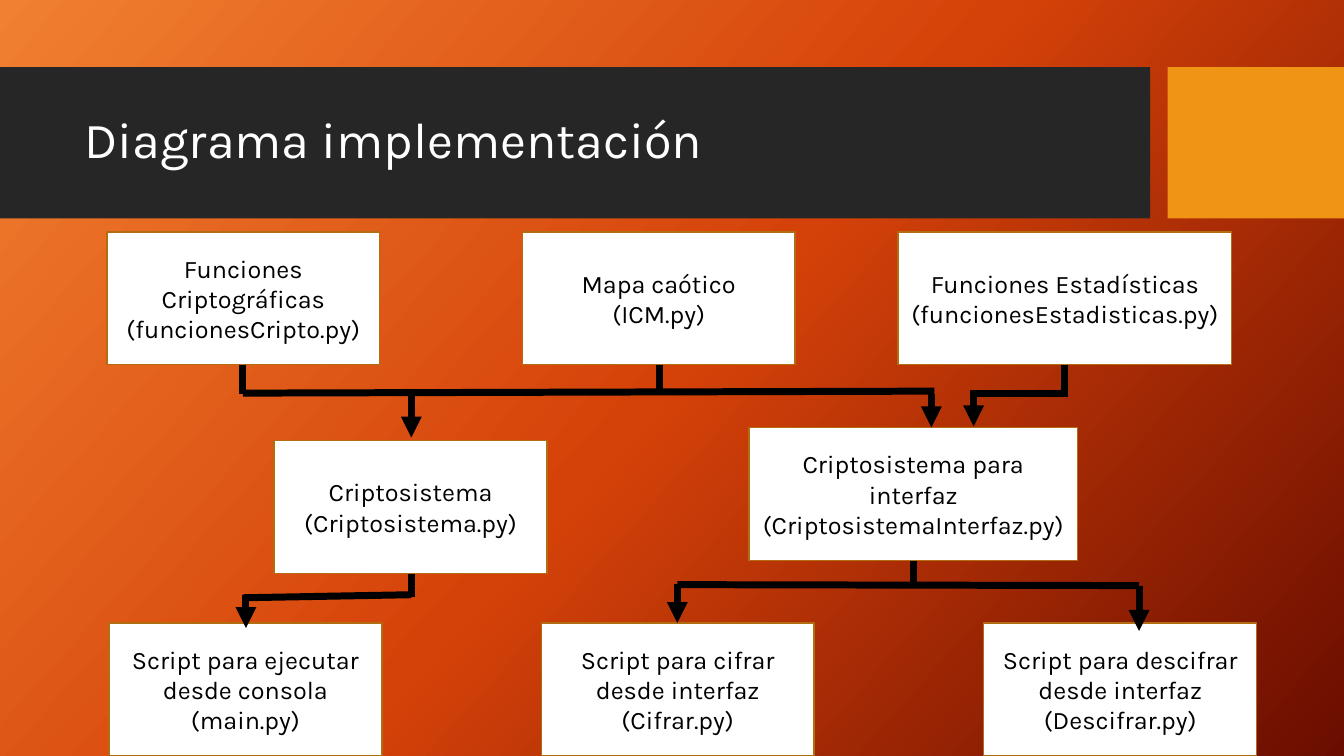
from copy import deepcopy

from lxml import etree
from pptx import Presentation
from pptx.dml.color import RGBColor
from pptx.enum import shapes, text
from pptx.oxml import ns
from pptx.util import Pt

FONT = "Karla"
WHITE = RGBColor(0xFF, 0xFF, 0xFF)
BLACK = RGBColor(0x00, 0x00, 0x00)
CHARCOAL = RGBColor(0x26, 0x26, 0x26)
AMBER = RGBColor(0xF0, 0x94, 0x15)
BOX_BORDER = RGBColor(0xB2, 0x6D, 0x10)
GRADIENT = [
    (0, RGBColor(0xF1, 0x80, 0x31)),
    (0.5, RGBColor(0xD5, 0x42, 0x09)),
    (1, RGBColor(0x6A, 0x0D, 0x00)),
]

BOX_WIDTH, BOX_HEIGHT = 195, 95
TOP_ROW, BOTTOM_ROW = 165.6, 445

MODULES = [
    (76.3, TOP_ROW, BOX_WIDTH, "Funciones Criptográficas", "(funcionesCripto.py)"),
    (641.5, TOP_ROW, 238.3, "Funciones Estadísticas", "(funcionesEstadisticas.py)"),
    (373, TOP_ROW, BOX_WIDTH, "Mapa caótico", "(ICM.py)"),
    (195.8, 314.6, BOX_WIDTH, "Criptosistema", "(Criptosistema.py)"),
    (535, 305.3, 234.7, "Criptosistema para interfaz", "(CriptosistemaInterfaz.py)"),
    (77.8, BOTTOM_ROW, BOX_WIDTH, "Script para ejecutar desde consola", "(main.py)"),
    (386.6, BOTTOM_ROW, BOX_WIDTH, "Script para cifrar desde interfaz", "(Cifrar.py)"),
    (702.7, BOTTOM_ROW, BOX_WIDTH, "Script para descifrar desde interfaz", "(Descifrar.py)"),
]

PLAIN_LINES = [
    (173.5, 260.6, 173.5, 281.5),
    (173.5, 280.8, 667.4, 279.4),
    (470.9, 260.6, 470.9, 280.1),
    (760.3, 260.6, 760.3, 281.5),
    (763.2, 280.8, 692.6, 280.8),
    (483.8, 417.6, 813.6, 418.3),
    (652.3, 401, 652.3, 418.3),
    (173.5, 427, 293.8, 424.8),
    (293.8, 409.7, 293.8, 426.2),
]

ARROWS = [
    (293.8, 280.8, 293.8, 312.5),
    (665.3, 281.5, 665.3, 305.3),
    (695.5, 280.8, 695.5, 304.6),
    (483.8, 416.9, 483.8, 445),
    (813.6, 418.3, 813.6, 450.7),
    (175.7, 424.8, 175.7, 448.6),
]


def set_background(slide):
    """Fill the slide background with the diagonal gradient."""
    fill = slide.background.fill
    fill.gradient()
    fill.gradient_angle = 360 - 42
    stop_list = slide.element.find(".//" + ns.qn("a:gsLst"))
    stop_list.insert(1, deepcopy(stop_list[0]))
    for stop, (position, color) in zip(fill.gradient_stops, GRADIENT):
        stop.position = position
        stop.color.rgb = color


def write_text(shape, lines, size=18, color=BLACK, align=text.PP_ALIGN.CENTER, spacing=None):
    """Write one paragraph per line into a shape, centred vertically."""
    frame = shape.text_frame
    frame.word_wrap = True
    frame.vertical_anchor = text.MSO_ANCHOR.MIDDLE
    frame.text = "\n".join(lines)
    for paragraph in frame.paragraphs:
        paragraph.alignment = align
        paragraph.line_spacing = spacing
        paragraph.font.name = FONT
        paragraph.font.size = Pt(size)
        paragraph.font.color.rgb = color


def add_rectangle(slide, left, top, width, height, fill, border=None):
    """Add a flat rectangle with an optional thin border."""
    shape = slide.shapes.add_shape(
        shapes.MSO_SHAPE.RECTANGLE, Pt(left), Pt(top), Pt(width), Pt(height)
    )
    shape.shadow.inherit = False
    shape.fill.solid()
    shape.fill.fore_color.rgb = fill
    if border is None:
        shape.line.fill.background()
    else:
        shape.line.color.rgb = border
        shape.line.width = Pt(1)
    return shape


def add_title(slide, title):
    """Add the title band, its accent block and the title text."""
    add_rectangle(slide, 0, 48, 821.5, 108, CHARCOAL)
    add_rectangle(slide, 834, 48, 126, 108, AMBER)
    box = slide.shapes.add_textbox(Pt(53.3), Pt(59), Pt(756.7), Pt(85))
    write_text(box, [title], size=36, color=WHITE, align=text.PP_ALIGN.LEFT, spacing=0.9)


def add_line(slide, start_x, start_y, end_x, end_y, arrow=False):
    """Add a thick black line, with an arrowhead at its end if asked."""
    connector = slide.shapes.add_connector(
        shapes.MSO_CONNECTOR.STRAIGHT, Pt(start_x), Pt(start_y), Pt(end_x), Pt(end_y)
    )
    connector.line.color.rgb = BLACK
    connector.line.width = Pt(5)
    properties = connector.element.spPr
    etree.SubElement(properties, ns.qn("a:effectLst"))
    if arrow:
        outline = properties.find(ns.qn("a:ln"))
        etree.SubElement(outline, ns.qn("a:tailEnd"), type="triangle")


def main():
    """Build the slide and save it."""
    presentation = Presentation()
    presentation.slide_width = Pt(960)
    presentation.slide_height = Pt(540)
    slide = presentation.slides.add_slide(presentation.slide_layouts[6])
    set_background(slide)
    add_title(slide, "Diagrama implementación")
    for left, top, width, *lines in MODULES:
        box = add_rectangle(slide, left, top, width, BOX_HEIGHT, WHITE, BOX_BORDER)
        write_text(box, lines)
    for ends in PLAIN_LINES:
        add_line(slide, *ends)
    for ends in ARROWS:
        add_line(slide, *ends, arrow=True)
    presentation.save("out.pptx")


if __name__ == "__main__":
    main()
